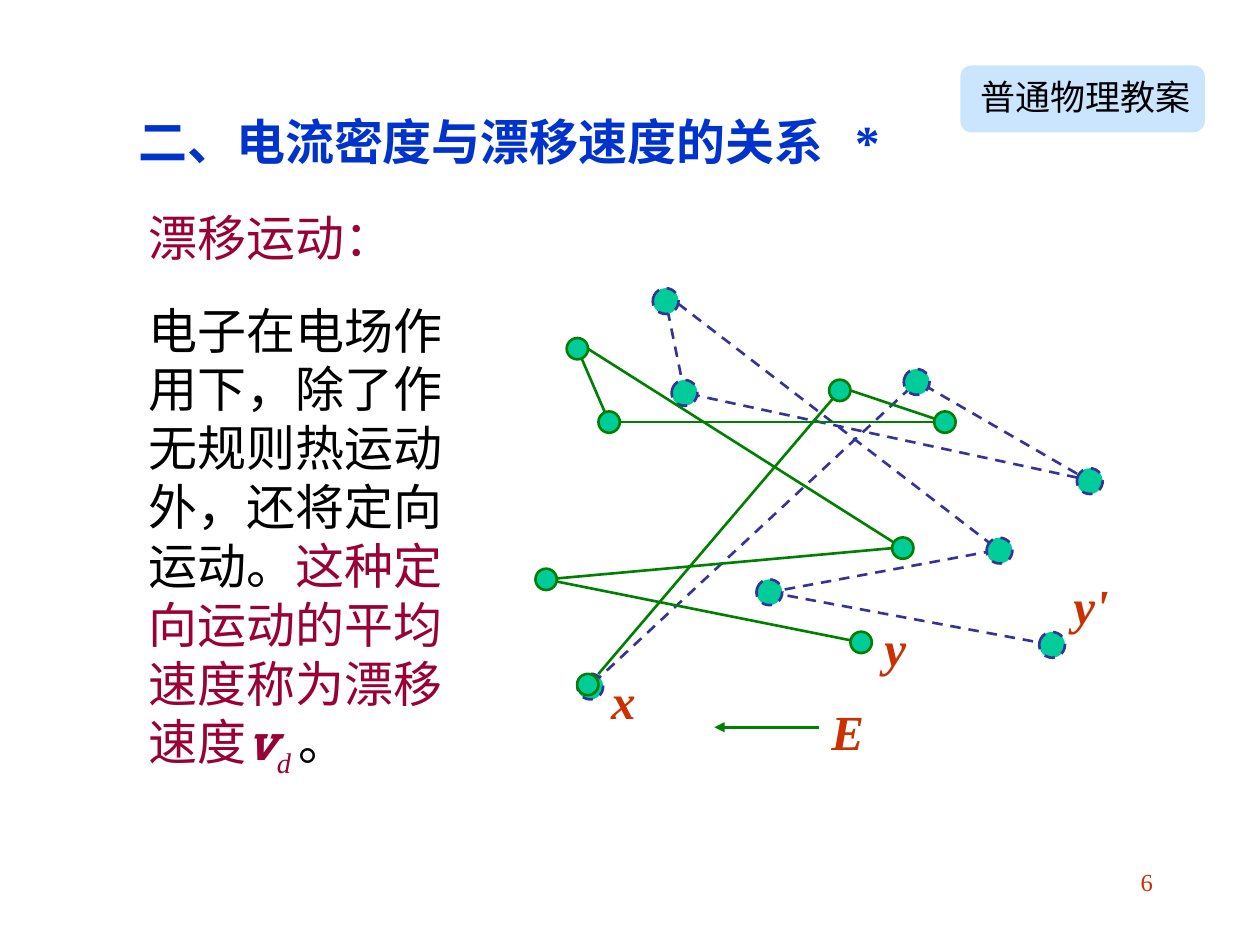
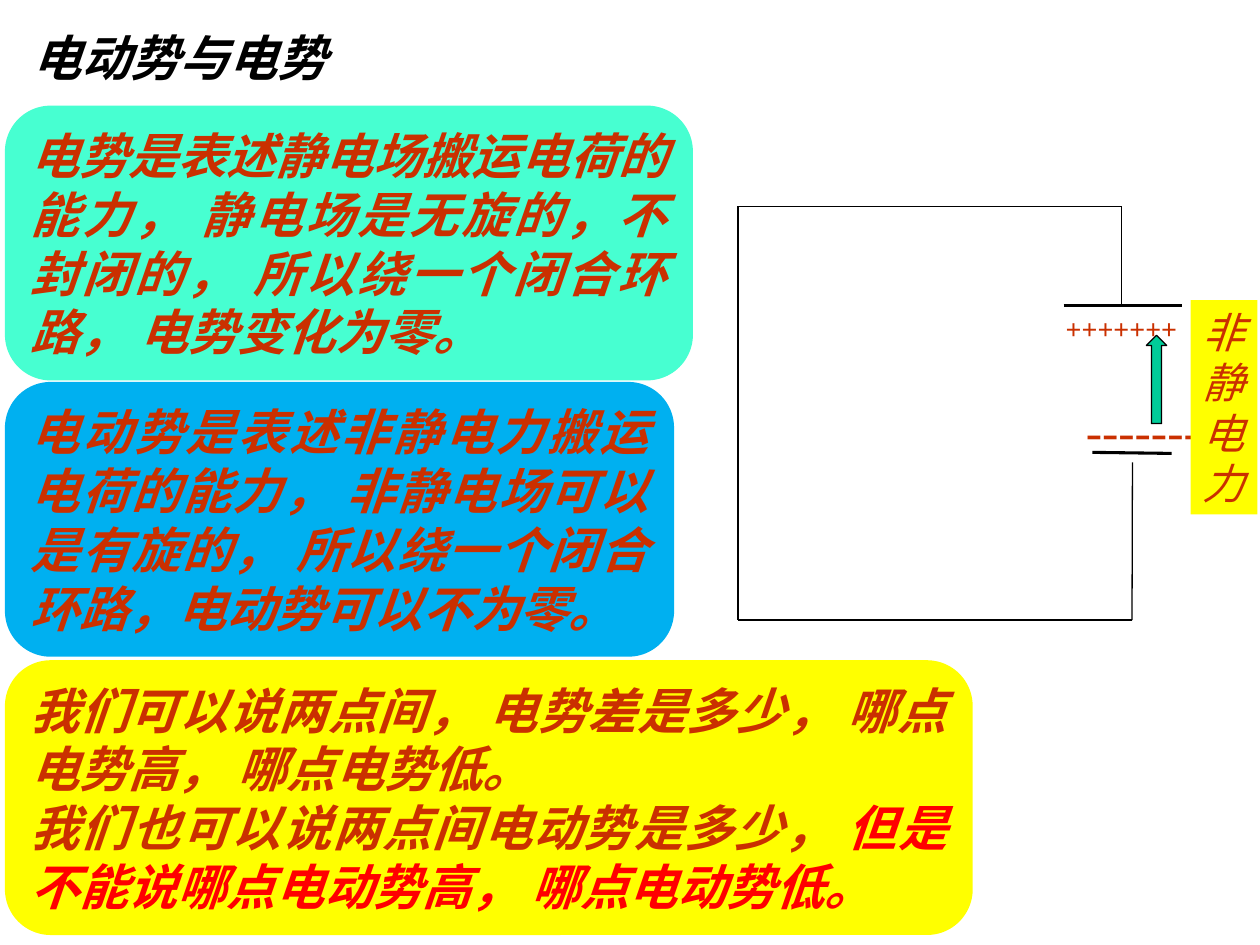
from dataclasses import dataclass, replace
from itertools import pairwise

import pptx
import pptx.dml.color
import pptx.enum.dml
import pptx.enum.shapes
import pptx.enum.text
import pptx.oxml
import pptx.oxml.ns
import pptx.util

Cm = pptx.util.Cm
SHAPES = pptx.enum.shapes.MSO_SHAPE
ALIGN = pptx.enum.text.PP_ALIGN
DASH = pptx.enum.dml.MSO_LINE.DASH


@dataclass(frozen=True)
class Theme:
    font: str = "Times New Roman"
    vector_font: str = "Roboto Slab"
    black: str = "000000"
    title_blue: str = "0033CC"
    crimson: str = "990033"
    rust: str = "CA3000"
    red: str = "FF0000"
    electron: str = "00CC99"
    thermal_path: str = "008000"
    drift_path: str = "333399"
    badge: str = "99CCFF"
    mint: str = "47FFD1"
    sky: str = "00B0F0"
    yellow: str = "FFFF00"
    body: int = 28
    force: int = 24
    badge_size: int = 20
    charge: int = 16
    page: int = 14
    path_line: float = 1.5
    plate_line: float = 1.75
    wire_line: float = 0.75


THEME = Theme()


@dataclass(frozen=True)
class Style:
    color: str = THEME.black
    size: int = THEME.body
    bold: bool = False
    italic: bool = False
    font: str = THEME.font
    baseline: int = 0


PLAIN = Style()
CRIMSON = Style(THEME.crimson)
RUST = Style(THEME.rust, bold=True, italic=True)

DRIFT_ELECTRONS = [
    (11.9, 13.84, 0.06, -0.07), (18.48, 7.7, 0.16, 0.07),
    (21.97, 9.7, -0.25, -0.07), (13.8, 7.92, 0, 0),
    (13.42, 6.07, 0.25, 0.05), (20.15, 11.1, -0.11, 0),
    (15.51, 11.94, 0, 0), (21.21, 13.0, 0, 0),
]
THERMAL_ELECTRONS = [
    (11.85, 13.8, 0.21, -0.21), (16.93, 7.87, 0.21, 0),
    (19.05, 8.51, -0.21, 0), (12.28, 8.51, 0, 0),
    (11.64, 7.03, 0.21, 0), (18.2, 11.05, -0.21, 0),
    (11.01, 11.68, 0, 0), (17.36, 12.95, 0, 0),
]


def rgb(code):
    return pptx.dml.color.RGBColor.from_string(code)


def write(frame, paragraphs, align=ALIGN.LEFT, inset=(0.25, 0.13)):
    frame.word_wrap = True
    frame.vertical_anchor = pptx.enum.text.MSO_ANCHOR.TOP
    frame.margin_left = frame.margin_right = Cm(inset[0])
    frame.margin_top = frame.margin_bottom = Cm(inset[1])
    for index, pieces in enumerate(paragraphs):
        paragraph = frame.add_paragraph() if index else frame.paragraphs[0]
        paragraph.alignment = align
        for text, style in pieces:
            run = paragraph.add_run()
            run.text = text
            run.font.name = style.font
            run.font.size = pptx.util.Pt(style.size)
            run.font.bold = style.bold
            run.font.italic = style.italic
            run.font.color.rgb = rgb(style.color)
            if style.baseline:
                run.font._element.set("baseline", str(style.baseline * 1000))


def add_text(slide, box, pieces, align=ALIGN.LEFT, **options):
    frame = slide.shapes.add_textbox(*map(Cm, box)).text_frame
    write(frame, [pieces], align, **options)
    return frame


def set_line(line, color, width, dash=None):
    line.color.rgb = rgb(color)
    line.width = pptx.util.Pt(width)
    if dash:
        line.dash_style = dash


def add_block(slide, kind, box, fill):
    block = slide.shapes.add_shape(kind, *map(Cm, box))
    block.shadow.inherit = False
    block.fill.solid()
    block.fill.fore_color.rgb = rgb(fill)
    block.line.fill.background()
    return block


def add_line(slide, start, end, color, width, dash=None):
    line = slide.shapes.add_connector(
        pptx.enum.shapes.MSO_CONNECTOR.STRAIGHT, *map(Cm, (*start, *end)))
    set_line(line.line, color, width, dash)
    properties = line._element.spPr
    pptx.oxml.ns.qn("a:effectLst")
    properties.append(pptx.oxml.parse_xml(
        f"<a:effectLst {pptx.oxml.ns.nsdecls('a')}/>"))
    return line


def add_arrowhead(line):
    line.line._get_or_add_ln().append(pptx.oxml.parse_xml(
        f"<a:tailEnd {pptx.oxml.ns.nsdecls('a')} type='triangle'/>"))


def add_tab_stop(paragraph, position):
    paragraph._p.get_or_add_pPr().append(pptx.oxml.parse_xml(
        f"<a:tabLst {pptx.oxml.ns.nsdecls('a')}>"
        f"<a:tab pos='{Cm(position)}' algn='l'/></a:tabLst>"))


def make_translucent(block, percent):
    color = block.fill._xPr.find(".//" + pptx.oxml.ns.qn("a:srgbClr"))
    color.append(pptx.oxml.parse_xml(
        f"<a:alpha {pptx.oxml.ns.nsdecls('a')} val='{percent * 1000}'/>"))


def add_electron_path(slide, electrons, color, diameter, tilt=0, dash=None):
    for (x, y, exit_x, exit_y), following in pairwise(electrons):
        add_line(slide, (x + exit_x, y + exit_y), following[:2],
                 color, THEME.path_line, dash)
    for x, y, *_ in electrons:
        corner = (x - diameter / 2, y - diameter / 2)
        electron = add_block(slide, SHAPES.OVAL,
                             (*corner, diameter, diameter), THEME.electron)
        electron.rotation = tilt
        set_line(electron.line, color, THEME.path_line, dash)


def add_badge(slide):
    badge = add_block(slide, SHAPES.ROUNDED_RECTANGLE,
                      (19.36, 1.32, 4.93, 1.35), THEME.badge)
    make_translucent(badge, 50)
    add_text(slide, (19.76, 1.52, 4.93, 0.99),
             [("普通物理教案", replace(PLAIN, size=THEME.badge_size))],
             ALIGN.JUSTIFY, inset=(0, 0))


def build_drift_slide(slide):
    add_text(slide, (18.21, 17.35, 5.28, 1.27),
             [("6", Style(THEME.rust, THEME.page))], ALIGN.RIGHT)
    heading = add_text(slide, (2.54, 2.11, 18.62, 1.45),
                       [("二、电流密度与漂移速度的关系\t*",
                         Style(THEME.title_blue, bold=True))], ALIGN.JUSTIFY)
    add_tab_stop(heading.paragraphs[0], 14.45)

    add_electron_path(slide, DRIFT_ELECTRONS, THEME.drift_path, 0.52, 12.2, DASH)
    add_electron_path(slide, THERMAL_ELECTRONS, THEME.thermal_path, 0.43)
    field = add_line(slide, (16.51, 14.66), (14.4, 14.66),
                     THEME.thermal_path, THEME.path_line)
    add_arrowhead(field)
    for label, left, top in [("E", 16.51, 14.02), ("y'", 21.39, 11.48),
                             ("y", 17.58, 12.32), ("x", 12.07, 13.39)]:
        add_text(slide, (left, top, 2.75, 1.45), [(label, RUST)])

    add_badge(slide)
    add_text(slide, (2.75, 4.06, 6.1, 1.45), [("漂移运动：", CRIMSON)])
    add_text(slide, (2.75, 5.92, 6.78, 9.91), [
        ("电子在电场作用下，除了作无规则热运动外，还将定向运动。", PLAIN),
        ("这种定向运动的平均速度称为漂移速度", CRIMSON),
        ("v", replace(CRIMSON, font=THEME.vector_font, bold=True, italic=True)),
        ("d ", replace(CRIMSON, italic=True, baseline=-25)),
        ("。", PLAIN),
    ])


def add_circuit(slide):
    for start, end in [((21.44, 6.15), (23.83, 6.15)),
                       ((22.02, 9.12), (23.62, 9.14))]:
        add_line(slide, start, end, THEME.black, THEME.plate_line)
    wire = [(22.61, 6.12), (22.61, 4.16), (14.88, 4.16),
            (14.88, 12.5), (22.82, 12.5), (22.83, 9.32)]
    for start, end in pairwise(wire):
        add_line(slide, start, end, THEME.black, THEME.wire_line)
    add_text(slide, (21.23, 6.15, 2.97, 0.94),
             [("+++++++", replace(RUST, size=THEME.charge))], ALIGN.JUSTIFY)
    add_text(slide, (21.64, 7.95, 3.38, 1.45),
             [("-------", replace(RUST, bold=False))], ALIGN.JUSTIFY)
    lift = add_block(slide, SHAPES.UP_ARROW, (23.11, 6.76, 0.41, 1.78),
                     THEME.electron)
    set_line(lift.line, THEME.black, THEME.wire_line)
    force = add_block(slide, SHAPES.RECTANGLE, (24, 6.05, 1.35, 4.32),
                      THEME.yellow)
    write(force.text_frame,
          [[("非静电力", replace(RUST, size=THEME.force, bold=False))]],
          ALIGN.JUSTIFY)


def build_emf_slide(slide):
    add_text(slide, (0.41, 0.43, 6.88, 1.45),
             [("电动势与电势", replace(RUST, color=THEME.black))], ALIGN.JUSTIFY)
    add_circuit(slide)
    statements = [
        (2.13, 13.87, THEME.mint, [[(
            "电势是表述静电场搬运电荷的能力， 静电场是无旋的，不封闭的， "
            "所以绕一个闭合环路， 电势变化为零。", RUST)]]),
        (7.7, 13.49, THEME.sky, [[(
            "电动势是表述非静电力搬运电荷的能力， 非静电场可以是有旋的， "
            "所以绕一个闭合环路，电动势可以不为零。", RUST)]]),
        (13.31, 19.51, THEME.yellow, [
            [("我们可以说两点间， 电势差是多少， 哪点电势高， 哪点电势低。", RUST)],
            [("我们也可以说两点间电动势是多少， ", RUST),
             ("但是不能说哪点电动势高， 哪点电动势低。",
              replace(RUST, color=THEME.red))]]),
    ]
    for top, width, fill, paragraphs in statements:
        panel = add_block(slide, SHAPES.ROUNDED_RECTANGLE,
                          (0.1, top, width, 5.54), fill)
        write(panel.text_frame, paragraphs, ALIGN.JUSTIFY)


def main():
    deck = pptx.Presentation()
    deck.slide_width, deck.slide_height = Cm(25.4), Cm(19.05)
    blank = deck.slide_layouts[6]
    for build in (build_drift_slide, build_emf_slide):
        build(deck.slides.add_slide(blank))
    deck.save("out.pptx")


if __name__ == "__main__":
    main()
